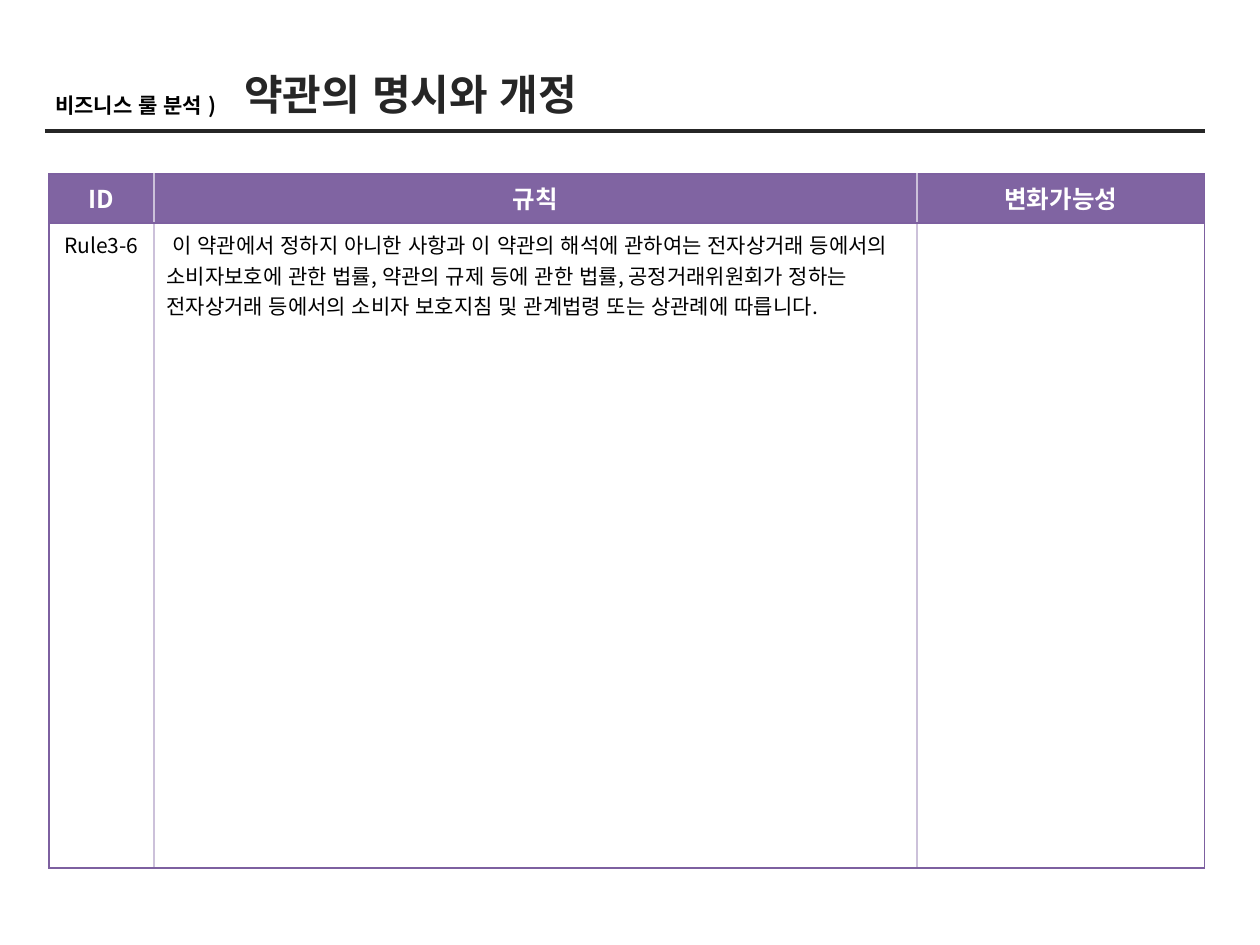
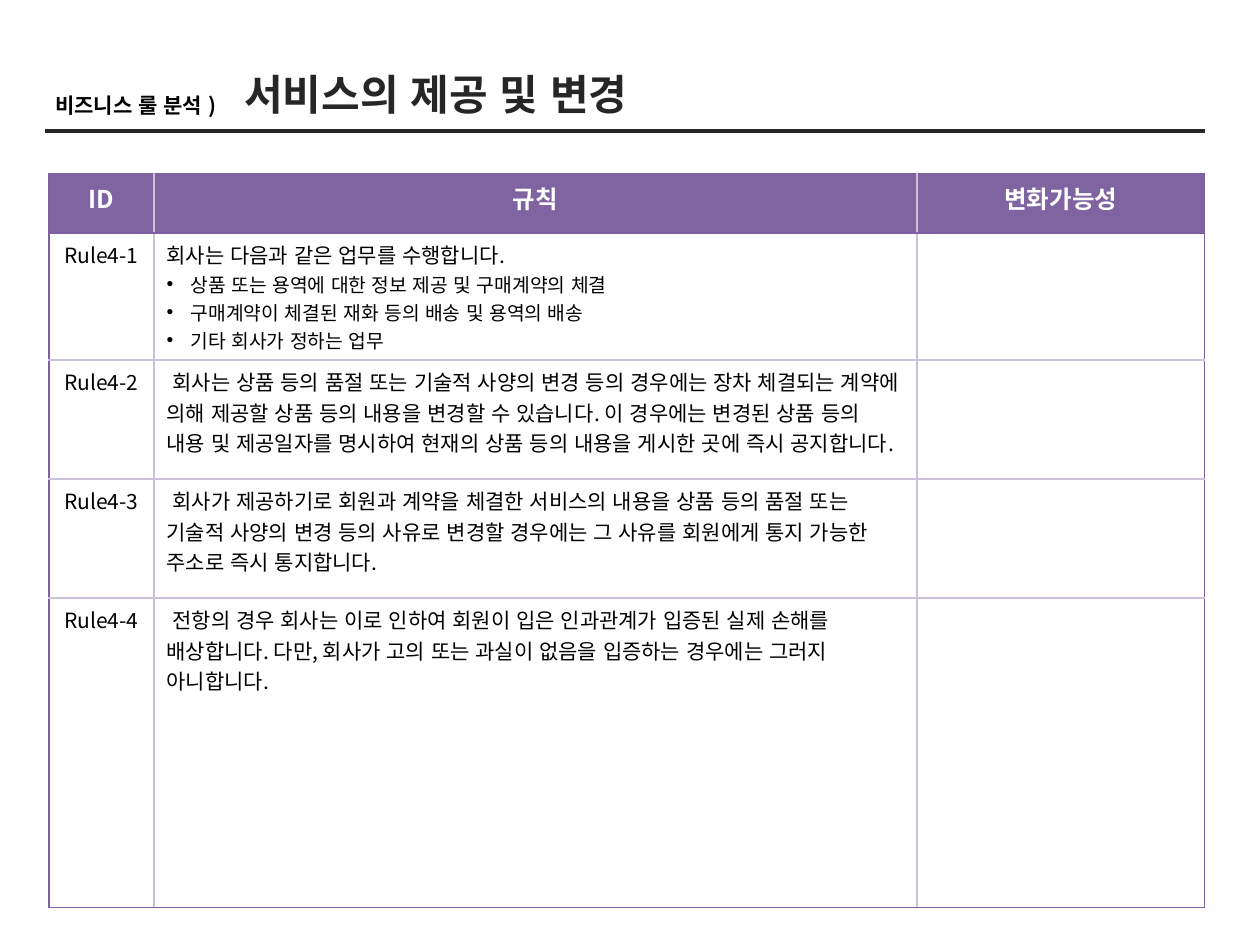
from lxml import etree
from pptx import Presentation
from pptx.dml.color import RGBColor
from pptx.enum.lang import MSO_LANGUAGE_ID
from pptx.enum.shapes import MSO_CONNECTOR
from pptx.enum.text import MSO_AUTO_SIZE, PP_ALIGN
from pptx.oxml.ns import qn
from pptx.util import Pt

PIXEL = 914400 // 126
KOREAN = MSO_LANGUAGE_ID.KOREAN
STRAIGHT = MSO_CONNECTOR.STRAIGHT
LEFT, CENTER = PP_ALIGN.LEFT, PP_ALIGN.CENTER
GROW = MSO_AUTO_SIZE.SHAPE_TO_FIT_TEXT

COLORS = {
    "header": "8064A2",
    "frame": "7D60A0",
    "grid": "CCC1DA",
    "title": "262626",
    "text": "000000",
    "white": "FFFFFF",
}
KOREAN_FONT = "Noto Sans CJK KR"
FORMATS = {
    "section": {"size": Pt(12), "bold": True, "name": KOREAN_FONT, "color": "text"},
    "title": {"size": Pt(24), "bold": True, "name": "Arial", "color": "title"},
    "header": {"size": Pt(14), "bold": True, "name": KOREAN_FONT, "color": "white"},
    "body": {"size": Pt(12), "bold": False, "name": KOREAN_FONT, "color": "text"},
    "bullet": {"size": Pt(11), "bold": False, "name": KOREAN_FONT, "color": "text"},
}
FRAME, GRID = ("frame", 0.75), ("grid", 1)
BULLET_INDENT = 24

HEADERS = ["ID", "규칙", "변화가능성"]
COLUMN_WIDTHS = [105, 763, 288]
TABLE_LEFT, TABLE_TOP = 49, 174

# Each rule is an ID, a sentence and its bullet points
PAGES = [
    {
        "title": "약관의 명시와 개정",
        "title_width": 394,
        "row_heights": [49, 645],
        "rules": [
            ("Rule3-6",
             " 이 약관에서 정하지 아니한 사항과 이 약관의 해석에 관하여는 전자상거래 등에서의 "
             "소비자보호에 관한 법률, 약관의 규제 등에 관한 법률, 공정거래위원회가 정하는 "
             "전자상거래 등에서의 소비자 보호지침 및 관계법령 또는 상관례에 따릅니다.", []),
        ],
    },
    {
        "title": "서비스의 제공 및 변경",
        "title_width": 452,
        "row_heights": [59, 127, 119, 119, 310],
        "rules": [
            ("Rule4-1", "회사는 다음과 같은 업무를 수행합니다.",
             ["상품 또는 용역에 대한 정보 제공 및 구매계약의 체결",
              "구매계약이 체결된 재화 등의 배송 및 용역의 배송",
              "기타 회사가 정하는 업무"]),
            ("Rule4-2",
             " 회사는 상품 등의 품절 또는 기술적 사양의 변경 등의 경우에는 장차 체결되는 계약에 "
             "의해 제공할 상품 등의 내용을 변경할 수 있습니다. 이 경우에는 변경된 상품 등의 "
             "내용 및 제공일자를 명시하여 현재의 상품 등의 내용을 게시한 곳에 즉시 공지합니다.", []),
            ("Rule4-3",
             " 회사가 제공하기로 회원과 계약을 체결한 서비스의 내용을 상품 등의 품절 또는 "
             "기술적 사양의 변경 등의 사유로 변경할 경우에는 그 사유를 회원에게 통지 가능한 "
             "주소로 즉시 통지합니다.", []),
            ("Rule4-4",
             " 전항의 경우 회사는 이로 인하여 회원이 입은 인과관계가 입증된 실제 손해를 "
             "배상합니다. 다만, 회사가 고의 또는 과실이 없음을 입증하는 경우에는 그러지 "
             "아니합니다.", []),
        ],
    },
]


def write(para, text, style, align=LEFT):
    para.alignment = align
    span = para.add_run()
    span.text = text
    span.font.language_id = KOREAN
    for key, value in FORMATS[style].items():
        if key == "color":
            span.font.color.rgb = RGBColor.from_string(COLORS[value])
        else:
            setattr(span.font, key, value)
    east_asian = etree.SubElement(span.font._element, qn("a:ea"))
    east_asian.set("typeface", KOREAN_FONT)


def draw_borders(cell, borders):
    properties = cell._tc.get_or_add_tcPr()
    for side, (color, width) in borders.items():
        line = etree.SubElement(properties, qn("a:ln" + side), w=str(Pt(width)))
        fill = etree.SubElement(line, qn("a:solidFill"))
        etree.SubElement(fill, qn("a:srgbClr"), val=COLORS[color])


deck = Presentation()
deck.slide_width, deck.slide_height = 1260 * PIXEL, 945 * PIXEL

for content in PAGES:
    page = deck.slides.add_slide(deck.slide_layouts[6])

    # Rule table
    heights = content["row_heights"]
    table = page.shapes.add_table(
        len(heights), len(HEADERS), TABLE_LEFT * PIXEL, TABLE_TOP * PIXEL,
        sum(COLUMN_WIDTHS) * PIXEL, sum(heights) * PIXEL).table
    for column, width in zip(table.columns, COLUMN_WIDTHS):
        column.width = width * PIXEL
    for row, height in zip(table.rows, heights):
        row.height = height * PIXEL

    # Purple frame and header edge, pale inner grid
    last_row, last_column = len(heights) - 1, len(HEADERS) - 1
    for r in range(len(heights)):
        for c in range(len(HEADERS)):
            cell = table.cell(r, c)
            draw_borders(cell, {
                "L": FRAME if c == 0 else GRID,
                "R": FRAME if c == last_column else GRID,
                "T": FRAME if r <= 1 else GRID,
                "B": FRAME if r in (0, last_row) else GRID,
            })
            cell.fill.solid()
            fill_color = COLORS["header" if r == 0 else "white"]
            cell.fill.fore_color.rgb = RGBColor.from_string(fill_color)

    # Table text
    for c, heading in enumerate(HEADERS):
        write(table.cell(0, c).text_frame.paragraphs[0], heading, "header", CENTER)
    for r, (rule_id, sentence, points) in enumerate(content["rules"], start=1):
        write(table.cell(r, 0).text_frame.paragraphs[0], rule_id, "body", CENTER)
        frame = table.cell(r, 1).text_frame
        write(frame.paragraphs[0], sentence, "body")
        for point in points:
            para = frame.add_paragraph()
            write(para, point, "bullet")
            properties = para._p.get_or_add_pPr()
            properties.set("marL", str(BULLET_INDENT * PIXEL))
            properties.set("indent", str(-BULLET_INDENT * PIXEL))
            etree.SubElement(properties, qn("a:buFont"), typeface="Arial")
            etree.SubElement(properties, qn("a:buChar"), char="•")

    # Line under the title
    rule_line = page.shapes.add_connector(
        STRAIGHT, 45 * PIXEL, 131 * PIXEL, 1205 * PIXEL, 131 * PIXEL)
    rule_line.line.color.rgb = RGBColor.from_string(COLORS["title"])
    rule_line.line.width = Pt(2.25)
    etree.SubElement(rule_line._element.spPr, qn("a:effectLst"))

    # Section label and title
    for text, style, area in [
        ("비즈니스 룰 분석 )", "section", (43, 86, 204, 38)),
        (content["title"], "title", (232, 62, content["title_width"], 63)),
    ]:
        box = page.shapes.add_textbox(*(length * PIXEL for length in area))
        box.text_frame.word_wrap = False
        box.text_frame.auto_size = GROW
        write(box.text_frame.paragraphs[0], text, style)

deck.save("out.pptx")
